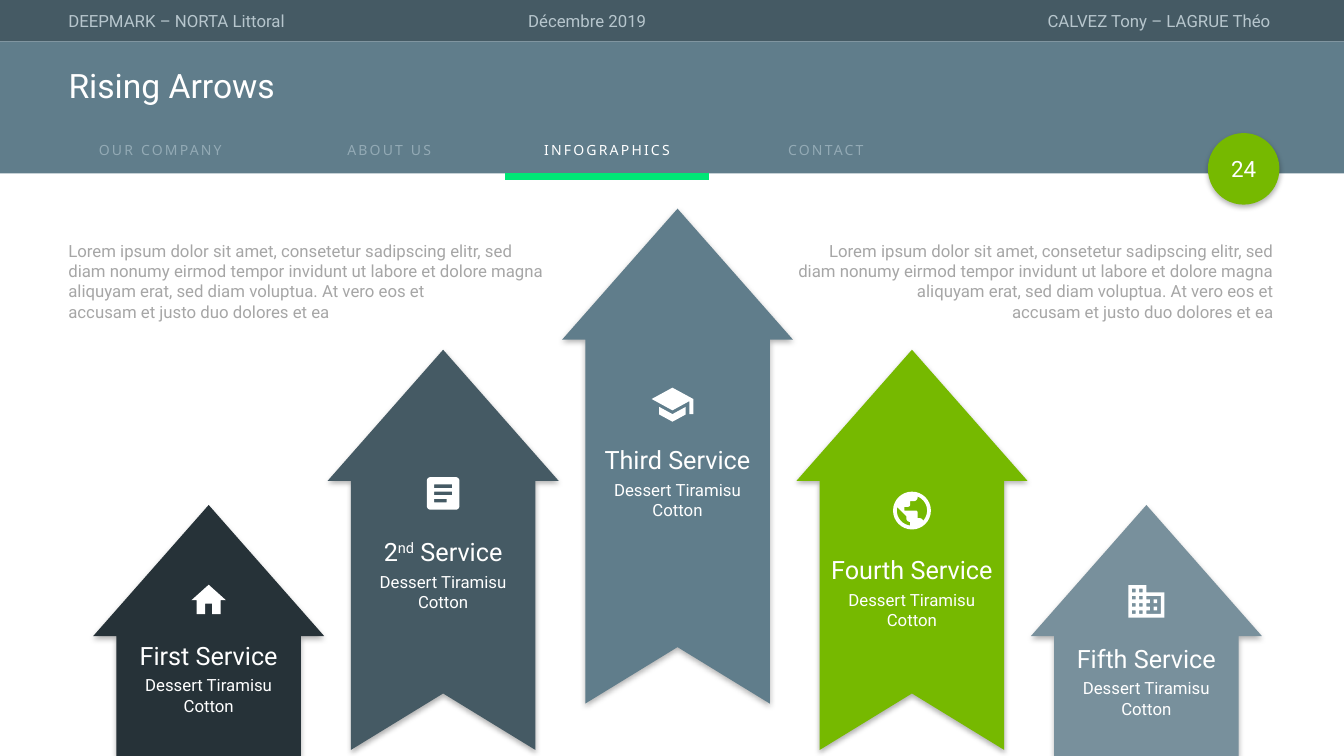
from pptx import Presentation
from pptx.dml.color import RGBColor
from pptx.enum.shapes import MSO_CONNECTOR, MSO_SHAPE
from pptx.enum.text import MSO_ANCHOR, MSO_AUTO_SIZE, PP_ALIGN
from pptx.oxml import parse_xml
from pptx.oxml.ns import nsdecls
from pptx.util import Inches, Pt

WHITE = RGBColor(0xFF, 0xFF, 0xFF)
NIGHT = RGBColor(0x26, 0x32, 0x38)
SLATE = RGBColor(0x45, 0x5A, 0x64)
STEEL = RGBColor(0x60, 0x7D, 0x8B)
MIST = RGBColor(0x78, 0x90, 0x9C)
LEAF = RGBColor(0x76, 0xB9, 0x00)
MINT = RGBColor(0x00, 0xE6, 0x76)
PALE = RGBColor(0xB7, 0xC6, 0xCD)
DIM = RGBColor(0x93, 0xAA, 0xB5)
GRAY = RGBColor(0xA6, 0xA6, 0xA6)

WIDE, HIGH = 13.33, 7.5
EDGE = 0.58
COL = 2.325
MID = 6.72
HEAD, BODY = 1.145, 0.915
RISE, NOTCH = 1.3, 0.56
STEPS = 8

deck = Presentation()
deck.slide_width, deck.slide_height = Inches(WIDE), Inches(HIGH)
slide = deck.slides.add_slide(deck.slide_layouts[5])
shapes = slide.shapes


def write(text, x, y, w, h, size, color, align=PP_ALIGN.LEFT, face="Roboto"):
    box = shapes.add_textbox(Inches(x), Inches(y), Inches(w), Inches(h))
    frame = box.text_frame
    frame.word_wrap = True
    frame.text = text
    for para in frame.paragraphs:
        para.alignment = align
        for run in para.runs:
            run.font.size, run.font.name = Pt(size), face
            run.font.color.rgb = color
    return frame


def draw(loops, x, y, unit, color):
    pen = None
    for loop in loops:
        dots = []
        for node in loop:
            if len(node) == 2:
                dots.append(node)
                continue
            ends = [dots[-1], node[:2], node[2:4], node[4:]]
            for step in range(1, STEPS + 1):
                t = step / STEPS
                mix = [(1 - t) ** 3, 3 * t * (1 - t) ** 2, 3 * t * t * (1 - t), t ** 3]
                dots.append([sum(m * e[k] for m, e in zip(mix, ends)) for k in (0, 1)])
        dots = [(Inches(a * unit), Inches(b * unit)) for a, b in dots]
        if pen is None:
            pen = shapes.build_freeform(*dots[0])
        else:
            pen.move_to(*dots[0])
        pen.add_line_segments(dots[1:], close=True)
    form = pen.convert_to_shape(Inches(x), Inches(y))
    form.shadow.inherit = False
    form.fill.solid()
    form.fill.fore_color.rgb = color
    form.line.fill.background()
    return form


bands = [
    (MSO_SHAPE.RECTANGLE, 0, 0, WIDE, 0.41, SLATE),
    (MSO_SHAPE.RECTANGLE, 0, 0.41, WIDE, 1.31, STEEL),
    (MSO_SHAPE.OVAL, 11.98, 1.32, 0.71, 0.71, LEAF),
]
for kind, x, y, w, h, color in bands:
    band = shapes.add_shape(kind, Inches(x), Inches(y), Inches(w), Inches(h))
    band.shadow.inherit = False
    band.fill.solid()
    band.fill.fore_color.rgb = color
    band.line.fill.background()
raised = [band]

write("DEEPMARK – NORTA Littoral", EDGE, 0.06, 5.56, 0.3, 12, PALE)
write("Décembre 2019", 5.14, 0.06, 5.56, 0.3, 12, PALE)
write("CALVEZ Tony – LAGRUE Théo", 7.14, 0.06, 5.56, 0.3, 12, PALE, PP_ALIGN.RIGHT)

tabs = [("OUR COMPANY", EDGE, DIM), ("ABOUT US", 2.85, DIM),
        ("INFOGRAPHICS", 5.01, WHITE), ("CONTACT", 7.18, DIM)]
for text, x, color in tabs:
    tab = write(text, x, 1.35, 2.02, 0.27, 10, color, PP_ALIGN.CENTER, "Noto Sans")
    tab.paragraphs[0].runs[0].font._element.set("spc", "160")

mark = shapes.add_connector(MSO_CONNECTOR.STRAIGHT, Inches(5.01), Inches(1.75),
                            Inches(7.03), Inches(1.75))
mark.line.color.rgb = MINT
mark.line.width = Pt(4.5)
mark._element.spPr.append(parse_xml(f"<a:effectLst {nsdecls('a')}/>"))

title = shapes.title
title.left, title.top = Inches(EDGE), Inches(0.63)
title.width, title.height = Inches(12.28), Inches(0.47)
frame = title.text_frame
frame.text = "Rising Arrows"
frame.auto_size = MSO_AUTO_SIZE.NONE
frame.vertical_anchor = MSO_ANCHOR.MIDDLE
para = frame.paragraphs[0]
para.alignment, para.line_spacing = PP_ALIGN.LEFT, 0.9
font = para.runs[0].font
font.size, font.name, font.color.rgb = Pt(24), "Roboto", WHITE
title._element.getparent().append(title._element)

page = write("24", 11.94, 1.47, 0.79, 0.4, 16, WHITE, PP_ALIGN.CENTER)
page.vertical_anchor = MSO_ANCHOR.MIDDLE

home = [[(10, 20), (10, 14), (14, 14), (14, 20), (19, 20), (19, 12),
         (22, 12), (12, 3), (2, 12), (5, 12), (5, 20)]]
note = [[(19, 3), (5, 3), (3.9, 3, 3, 3.9, 3, 5), (3, 19), (3, 20.1, 3.9, 21, 5, 21),
         (19, 21), (20.1, 21, 21, 20.1, 21, 19), (21, 5), (21, 3.9, 20.1, 3, 19, 3)]]
for y, end in [(7, 17), (11, 17), (15, 14)]:
    note.append([(7, y), (end, y), (end, y + 2), (7, y + 2)])
school = [[(5, 13.18), (5, 17.18), (12, 21), (19, 17.18), (19, 13.18), (12, 17)],
          [(12, 3), (1, 9), (12, 15), (21, 10.09), (21, 17), (23, 17), (23, 9)]]
globe = [
    [(12, 2), (6.48, 2, 2, 6.48, 2, 12), (2, 17.52, 6.48, 22, 12, 22),
     (17.52, 22, 22, 17.52, 22, 12), (22, 6.48, 17.52, 2, 12, 2)],
    [(11, 19.93), (7.05, 19.44, 4, 16.08, 4, 12), (4, 11.38, 4.08, 10.79, 4.21, 10.21),
     (9, 15), (9, 16), (9, 17.1, 9.9, 18, 11, 18)],
    [(17.9, 17.39), (17.64, 16.58, 16.9, 16, 16, 16), (15, 16), (15, 13),
     (15, 12.45, 14.55, 12, 14, 12), (8, 12), (8, 10), (10, 10),
     (10.55, 10, 11, 9.55, 11, 9), (11, 7), (13, 7), (14.1, 7, 15, 6.1, 15, 5),
     (15, 4.59), (17.93, 5.78, 20, 8.65, 20, 12), (20, 14.08, 19.2, 15.97, 17.9, 17.39)],
]
tower = [[(12, 7), (12, 3), (2, 3), (2, 21), (22, 21), (22, 7)],
         [(20, 19), (12, 19), (12, 17), (14, 17), (14, 15), (12, 15), (12, 13),
          (14, 13), (14, 11), (12, 11), (12, 9), (20, 9)]]
panes = [(x, y) for x in (4, 8) for y in (5, 9, 13, 17)] + [(16, 11), (16, 15)]
for x, y in panes:
    tower.append([(x, y), (x + 2, y), (x + 2, y + 2), (x, y + 2)])

sweet = "Dessert Tiramisu Cotton"
split = "Dessert Tiramisu\nCotton"
arrows = [
    ("First Service", sweet, NIGHT, 5.01, HIGH, 6.3, 1.77, home, 0.41, 0, 5.75),
    ("2|nd| Service", sweet, SLATE, 3.47, 7.44, 5.27, 1.55, note, 0.43, 0, 4.68),
    ("Third Service", sweet, STEEL, 2.07, 6.98, 4.36, 1.77, school, 0.45, -0.05, 3.79),
    ("Fourth Service", split, LEAF, 3.47, 7.44, 5.45, 1.96, globe, 0.45, 0, 4.84),
    ("Fifth Service", split, MIST, 5.01, HIGH, 6.33, 1.7, tower, 0.43, 0, 5.75),
]
for i, (name, text, color, top, base, y, w, icon, size, shift, rise) in enumerate(arrows):
    mid = MID + (i - 2) * COL
    neck, foot = top + RISE, base - (NOTCH if base < HIGH else 0)
    edge = [(mid, top), (mid + HEAD, neck), (mid + BODY, neck), (mid + BODY, base),
            (mid, foot), (mid - BODY, base), (mid - BODY, neck), (mid - HEAD, neck)]
    raised.append(draw([edge], 0, 0, 1, color))
    draw(icon, mid + shift - size / 2, rise, size / 24, WHITE)
    frame = write("\n".join([name, text]), mid - w / 2, y, w, 0.86, 12, WHITE, PP_ALIGN.CENTER)
    first, second = frame.paragraphs[:2]
    second.space_before = Pt(3.5)
    parts = name.split("|")
    first.text = parts[0]
    for part in parts[1:]:
        first.add_run().text = part
    for run in first.runs:
        run.font.size, run.font.name, run.font.color.rgb = Pt(18), "Roboto", WHITE
    if len(parts) > 1:
        first.runs[1].font._element.set("baseline", "30000")

lorem = ("Lorem ipsum dolor sit amet, consetetur sadipscing elitr, sed diam nonumy eirmod "
         "tempor invidunt ut labore et dolore magna aliquyam erat, sed diam voluptua. "
         "At vero eos et\naccusam et justo duo dolores et ea")
for x, align in [(EDGE, PP_ALIGN.LEFT), (7.77, PP_ALIGN.RIGHT)]:
    write(lorem, x, 2.34, 4.96, 0.91, 12, GRAY, align)

for form in raised:
    glow = form._element.spPr.find("{*}effectLst")
    glow.append(parse_xml(
        f'<a:outerShdw {nsdecls("a")} blurRad="{Pt(4)}" dist="{Pt(2)}" dir="5400000" '
        'algn="t" rotWithShape="0"><a:srgbClr val="000000"><a:alpha val="30000"/>'
        '</a:srgbClr></a:outerShdw>'))

deck.save("out.pptx")
